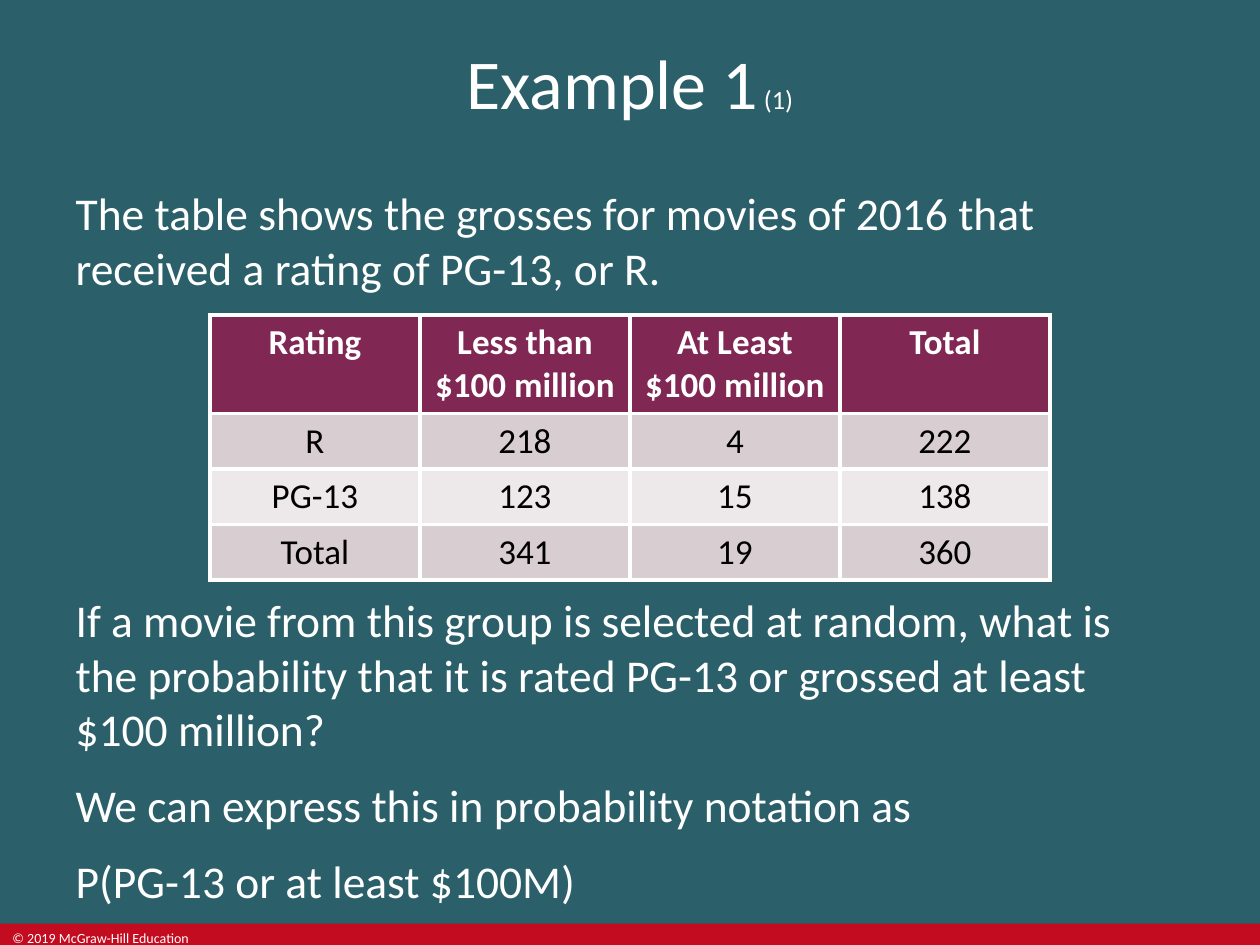
from dataclasses import dataclass

import pptx
import pptx.dml.color
import pptx.enum.shapes
import pptx.enum.text
import pptx.oxml
import pptx.oxml.ns
import pptx.util
from lxml import etree

RGBColor = pptx.dml.color.RGBColor
TEAL = RGBColor(0x2B, 0x60, 0x6A)
RED = RGBColor(0xC3, 0x0C, 0x20)
PLUM = RGBColor(0x80, 0x27, 0x54)
ROSE = RGBColor(0xD8, 0xCD, 0xD1)
PALE = RGBColor(0xED, 0xE8, 0xE9)
WHITE = RGBColor(0xFF, 0xFF, 0xFF)
BLACK = RGBColor(0, 0, 0)
FONT = "Calibri"
EDGE = 2.25

# Grid: 60 columns by 75 rows
COL = pptx.util.Inches(10) / 60
ROW = pptx.util.Inches(7.5) / 75


@dataclass
class Box:
    """An area given in grid columns and rows."""
    col: float
    row: float
    cols: float
    rows: float

    def place(self) -> tuple[int, int, int, int]:
        return (round(self.col * COL), round(self.row * ROW),
                round(self.cols * COL), round(self.rows * ROW))


@dataclass
class Body:
    box: Box
    lines: list[str]


BODIES = [
    Body(Box(3, 14.2, 54, 10.8), [
        "The table shows the grosses for movies of 2016 that received a rating "
        "of PG-13, or R."]),
    Body(Box(3, 46.5, 54, 26), [
        "If a movie from this group is selected at random, what is the "
        "probability that it is rated PG-13 or grossed at least $100 million?",
        "We can express this in probability notation as",
        "P(PG-13 or at least $100M)"]),
]
GRID = [
    ["Rating", "Less than $100 million", "At Least $100 million", "Total"],
    ["R", "218", "4", "222"],
    ["PG-13", "123", "15", "138"],
    ["Total", "341", "19", "360"],
]


def style(para, size: float, color: RGBColor = WHITE, bold: bool = False) -> None:
    for run in para.runs:
        font = run.font
        font.name, font.size, font.bold = FONT, pptx.util.Pt(size), bold
        font.color.rgb = color


def move(shape, box: Box) -> None:
    shape.left, shape.top, shape.width, shape.height = box.place()


def plain(para) -> None:
    """Remove the bullet and its indent."""
    props = para._p.get_or_add_pPr()
    props.set("marL", "0")
    props.set("indent", "0")
    etree.SubElement(props, pptx.oxml.ns.qn("a:buNone"))


def fill_body(shape, body: Body) -> None:
    move(shape, body.box)
    frame = shape.text_frame
    frame.auto_size = pptx.enum.text.MSO_AUTO_SIZE.NONE
    frame.text = "\n".join(body.lines)
    for i, para in enumerate(frame.paragraphs):
        plain(para)
        para.space_before = pptx.util.Pt(6 if i else 0)
        para.space_after = pptx.util.Pt(6)
        style(para, 26)


def edge(cell) -> None:
    """Draw the four borders; they come before the fill."""
    props = cell._tc.get_or_add_tcPr()
    for i, side in enumerate(("lnL", "lnR", "lnT", "lnB")):
        props.insert(i, pptx.oxml.parse_xml(
            f'<a:{side} {pptx.oxml.ns.nsdecls("a")} w="{pptx.util.Pt(EDGE)}">'
            f'<a:solidFill><a:srgbClr val="{WHITE}"/></a:solidFill></a:{side}>'))


def add_grid(slide, box: Box) -> None:
    frame = slide.shapes.add_table(len(GRID), len(GRID[0]), *box.place())
    table = frame.table
    for r, words in enumerate(GRID):
        head = r == 0
        table.rows[r].height = round((5 if head else 4) * ROW)
        for c, word in enumerate(words):
            cell = table.cell(r, c)
            cell.fill.solid()
            cell.fill.fore_color.rgb = PLUM if head else ROSE if r % 2 else PALE
            edge(cell)
            cell.text_frame.text = word
            para = cell.text_frame.paragraphs[0]
            para.alignment = pptx.enum.text.PP_ALIGN.CENTER
            style(para, 20, WHITE if head else BLACK, head)
    frame.height = round(box.rows * ROW)


def add_foot(slide) -> None:
    bar = slide.shapes.add_shape(
        pptx.enum.shapes.MSO_SHAPE.RECTANGLE, *Box(0, 73.3, 60, 1.7).place())
    bar.shadow.inherit = False
    bar.fill.solid()
    bar.fill.fore_color.rgb = RED
    bar.line.fill.background()
    note = slide.shapes.add_textbox(*Box(0, 73.3, 10.2, 1.7).place())
    note.text_frame.word_wrap = True
    note.text_frame.text = "© 2019 McGraw-Hill Education"
    style(note.text_frame.paragraphs[0], 8)


def add_title(slide) -> None:
    title = slide.shapes.title
    move(title, Box(0, 0, 60, 13))
    frame = title.text_frame
    frame.auto_size = pptx.enum.text.MSO_AUTO_SIZE.NONE
    frame.vertical_anchor = pptx.enum.text.MSO_ANCHOR.MIDDLE
    frame.text = "Example 1"
    para = frame.paragraphs[0]
    para.alignment = pptx.enum.text.PP_ALIGN.CENTER
    part = para.add_run()
    part.text = " (1)"
    style(para, 40)
    part.font.size = pptx.util.Pt(15)


def main() -> None:
    deck = pptx.Presentation()
    deck.slide_width = pptx.util.Inches(10)
    deck.slide_height = pptx.util.Inches(7.5)
    # Layout with a title and two bodies
    slide = deck.slides.add_slide(deck.slide_layouts[3])
    slide.background.fill.solid()
    slide.background.fill.fore_color.rgb = TEAL

    # Title and text
    add_title(slide)
    for i, body in enumerate(BODIES, 1):
        fill_body(slide.placeholders[i], body)

    # Table and footer
    add_grid(slide, Box(10, 25, 40, 20.7))
    add_foot(slide)
    deck.save("out.pptx")


if __name__ == "__main__":
    main()
